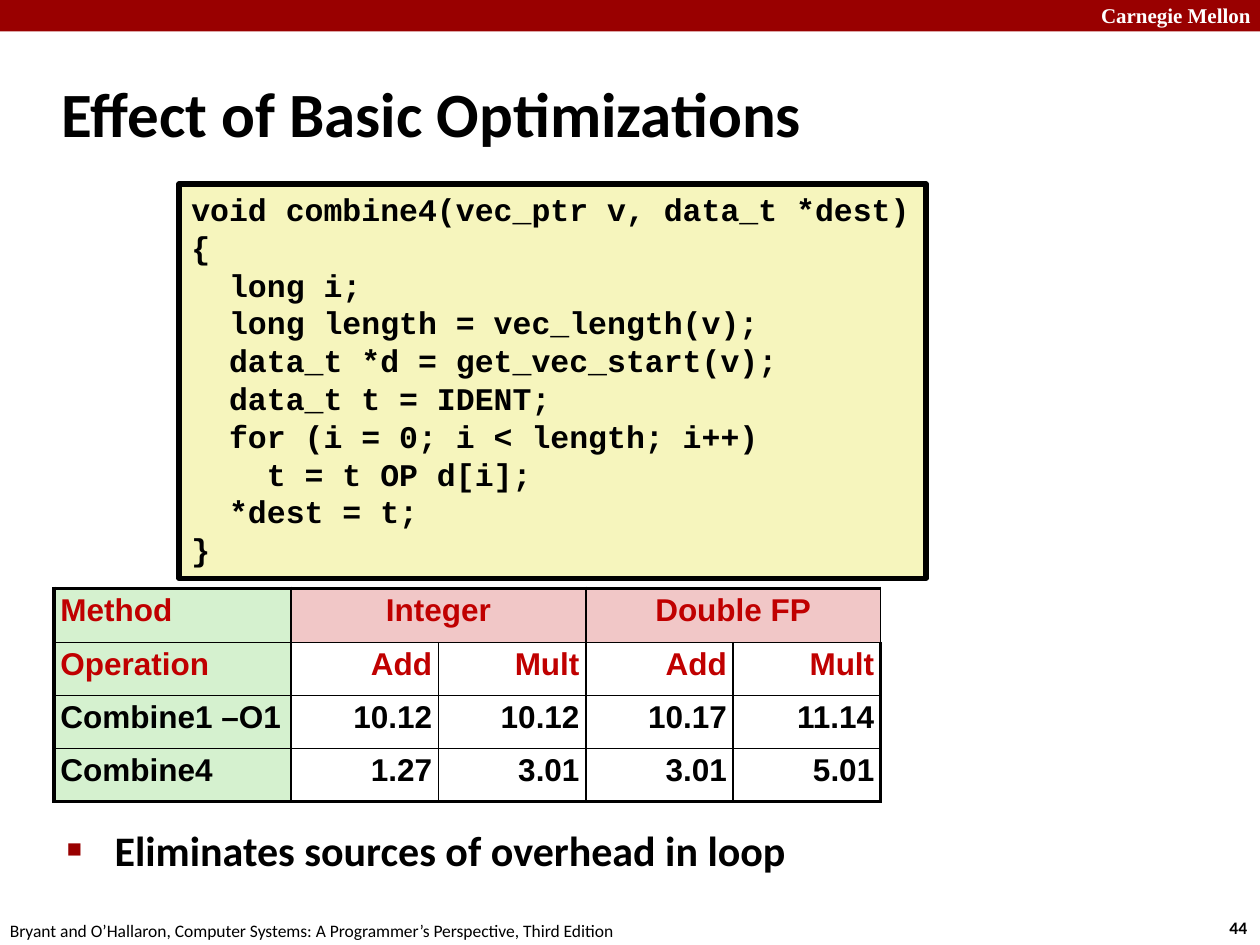
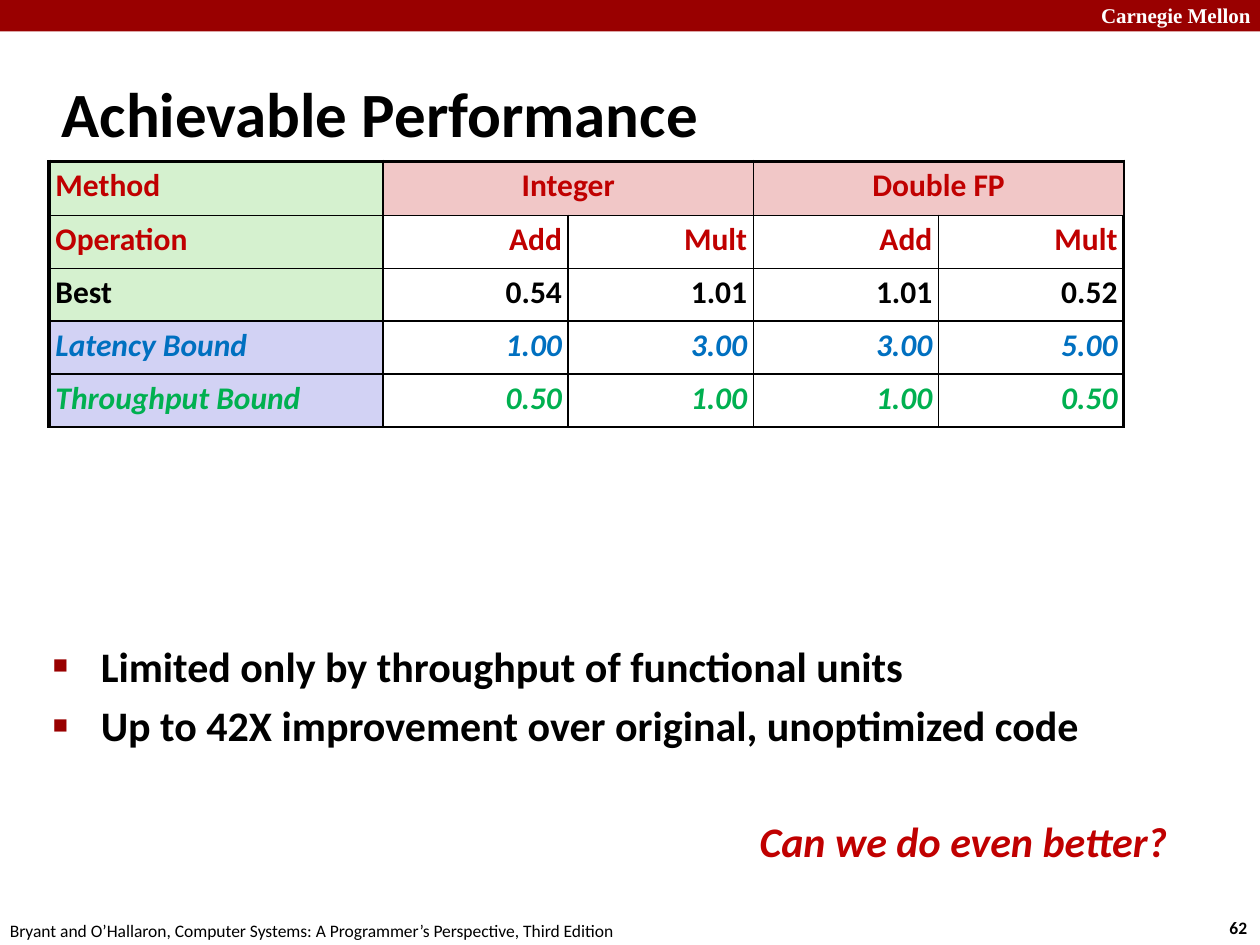
from lxml.etree import SubElement
from pptx import Presentation
from pptx.dml.color import RGBColor
from pptx.enum.shapes import MSO_SHAPE
from pptx.enum.text import MSO_ANCHOR, MSO_AUTO_SIZE, PP_ALIGN
from pptx.oxml.ns import qn
from pptx.util import Inches, Pt

COLORS = {
    "black": "000000", "white": "FFFFFF", "band": "990000", "red": "C00000",
    "blue": "0070C0", "green": "00B050", "code": "F6F5BD",
    "label": "D5F1CF", "group": "F1C7C7", "bound": "D2D2F4",
}
UNIVERSITY = "Carnegie Mellon"
CITATION = ("Bryant and O’Hallaron, Computer Systems: "
            "A Programmer’s Perspective, Third Edition")
CODE = """void combine4(vec_ptr v, data_t *dest)
{
  long i;
  long length = vec_length(v);
  data_t *d = get_vec_start(v);
  data_t t = IDENT;
  for (i = 0; i < length; i++)
    t = t OP d[i];
  *dest = t;
}"""
HEADINGS = [
    ["Method", "Integer", "", "Double FP", ""],
    ["Operation", "Add", "Mult", "Add", "Mult"],
]
THIN, THICK = 1, 2.25

# Row styles: (label fill, text colour, italic)
HEADING = ("label", "red", False)
MEASURED = ("label", "black", False)
LATENCY = ("bound", "blue", True)
THROUGHPUT = ("bound", "green", True)

SLIDES = [
    {
        "title": "Effect of Basic Optimizations",
        "number": "44",
        "bullets": ["Eliminates sources of overhead in loop"],
        "bullet_area": (0.43, 6.49, 8.64, 0.59),
        "table": {
            "left": 0.43, "top": 4.67, "label_width": 1.88, "value_width": 1.17,
            "font": "Arial", "bottom_line": THICK,
            "rows": [
                (MEASURED, ["Combine1 –O1", "10.12", "10.12", "10.17", "11.14"]),
                (MEASURED, ["Combine4", "1.27", "3.01", "3.01", "5.01"]),
            ],
        },
        "code": CODE,
    },
    {
        "title": "Achievable Performance",
        "number": "62",
        "bullets": ["Limited only by throughput of functional units",
                    "Up to 42X improvement over original, unoptimized code"],
        "bullet_area": (0.32, 5.03, 9.09, 2.05),
        "table": {
            "left": 0.39, "top": 1.28, "label_width": 2.65, "value_width": 1.47,
            "font": "Calibri", "bottom_line": THIN,
            "rows": [
                (MEASURED, ["Best", "0.54", "1.01", "1.01", "0.52"]),
                (LATENCY, ["Latency Bound", "1.00", "3.00", "3.00", "5.00"]),
                (THROUGHPUT, ["Throughput Bound", "0.50", "1.00", "1.00", "0.50"]),
            ],
        },
        "question": "Can we do even better?",
    },
]


def color(name):
    return RGBColor.from_string(COLORS[name])


def inches(*lengths):
    return [Inches(length) for length in lengths]


def set_font(paragraph, size, name="Calibri", ink="black", bold=True, italic=False):
    font = paragraph.font
    font.size, font.name = Pt(size), name
    font.bold, font.italic = bold, italic
    font.color.rgb = color(ink)


def add_text(slide, text, area, size, wrap=False, **font):
    frame = slide.shapes.add_textbox(*inches(*area)).text_frame
    frame.word_wrap = wrap
    frame.text = text
    set_font(frame.paragraphs[0], size, **font)


def add_box(slide, area, fill):
    box = slide.shapes.add_shape(MSO_SHAPE.RECTANGLE, *inches(*area))
    box.shadow.inherit = False
    box.fill.solid()
    box.fill.fore_color.rgb = color(fill)
    box.line.fill.background()
    return box


def add_frame(slide, number):
    """Draw the band, citation and slide number found on every slide."""
    add_box(slide, (0, 0, 10, 0.25), "band")
    add_text(slide, UNIVERSITY, (8.64, -0.03, 1.43, 0.3), 12, wrap=True,
             name="Times New Roman", ink="white")
    add_text(slide, number, (9.66, 7.23, 0.37, 0.27), 10)
    add_text(slide, CITATION, (-0.02, 7.25, 5.08, 0.27), 10, bold=False)


def place(shape, area):
    shape.left, shape.top, shape.width, shape.height = inches(*area)
    shape.text_frame.auto_size = MSO_AUTO_SIZE.NONE
    return shape.text_frame


def hang(paragraph, indent):
    properties = paragraph._p.get_or_add_pPr()
    properties.set("marL", str(Inches(indent)))
    properties.set("indent", str(-Inches(indent)))
    return properties


def fill_title(slide, text):
    frame = place(slide.shapes.title, (0.39, 0.48, 8.3, 0.83))
    frame.vertical_anchor = MSO_ANCHOR.MIDDLE
    frame.text = text
    paragraph = frame.paragraphs[0]
    paragraph.alignment = PP_ALIGN.LEFT
    hang(paragraph, 0.13)
    set_font(paragraph, 36)


def fill_bullets(slide, bullets, area):
    frame = place(slide.placeholders[1], area)
    frame.text = "\n".join(bullets)
    for index, paragraph in enumerate(frame.paragraphs):
        paragraph.space_before = Pt(5 if index else 0)
        properties = hang(paragraph, 0.38)
        bullet_color = SubElement(properties, qn("a:buClr"))
        SubElement(bullet_color, qn("a:srgbClr"), val=COLORS["band"])
        SubElement(properties, qn("a:buSzPct"), val="60000")
        SubElement(properties, qn("a:buChar"), char="■")
        set_font(paragraph, 24)


def add_code(slide, code):
    box = add_box(slide, (1.42, 1.46, 5.93, 3.13), "code")
    box.line.color.rgb = color("black")
    box.line.width = Pt(3)
    frame = box.text_frame
    frame.word_wrap = False
    frame.vertical_anchor = MSO_ANCHOR.TOP
    frame.text = code
    for paragraph in frame.paragraphs:
        paragraph.alignment = PP_ALIGN.LEFT
        set_font(paragraph, 18, name="Courier New")


def set_borders(cell, left, right, top, bottom):
    properties = cell._tc.get_or_add_tcPr()
    for side, width in zip("LRTB", (left, right, top, bottom)):
        line = SubElement(properties, qn(f"a:ln{side}"), w=str(Pt(width)))
        fill = SubElement(line, qn("a:solidFill"))
        SubElement(fill, qn("a:srgbClr"), val=COLORS["black"])


def add_results(slide, left, top, label_width, value_width, font, bottom_line, rows):
    rows = [(HEADING, texts) for texts in HEADINGS] + rows
    widths = [label_width] + [value_width] * 4
    heights = [0.43] + [0.42] * (len(rows) - 1)
    table = slide.shapes.add_table(
        len(rows), len(widths),
        *inches(left, top, sum(widths), sum(heights))).table
    table.first_row = table.horz_banding = False
    for column, width in zip(table.columns, widths):
        column.width = Inches(width)
    for row, height in zip(table.rows, heights):
        row.height = Inches(height)
    for start in (1, 3):
        table.cell(0, start).merge(table.cell(0, start + 1))

    last_row, last_column = len(rows) - 1, len(widths) - 1
    for r, ((label_fill, ink, italic), texts) in enumerate(rows):
        for c, text in enumerate(texts):
            cell = table.cell(r, c)
            set_borders(cell,
                        left=THIN if c else THICK,
                        right=THICK if c == last_column else THIN,
                        top=THIN if r else THICK,
                        bottom=bottom_line if r == last_row else THIN)
            if c == 0:
                fill, alignment = label_fill, PP_ALIGN.LEFT
            elif r == 0:
                fill, alignment = "group", PP_ALIGN.CENTER
            else:
                fill, alignment = None, PP_ALIGN.RIGHT
            if fill:
                cell.fill.solid()
                cell.fill.fore_color.rgb = color(fill)
            else:
                cell.fill.background()
            cell.margin_left = cell.margin_right = Inches(0.05)
            cell.margin_top = cell.margin_bottom = Inches(0.05)
            cell.text = text
            paragraph = cell.text_frame.paragraphs[0]
            paragraph.alignment = alignment
            paragraph.line_spacing = 0.95
            set_font(paragraph, 18, name=font, ink=ink, italic=italic)


def main():
    presentation = Presentation()
    presentation.slide_width, presentation.slide_height = inches(10, 7.5)
    for content in SLIDES:
        slide = presentation.slides.add_slide(presentation.slide_layouts[1])
        add_frame(slide, content["number"])
        fill_title(slide, content["title"])
        fill_bullets(slide, content["bullets"], content["bullet_area"])
        if "code" in content:
            add_code(slide, content["code"])
        add_results(slide, **content["table"])
        if "question" in content:
            add_text(slide, content["question"], (5.93, 6.42, 3.47, 0.5), 24,
                     ink="red", italic=True)
    presentation.save("out.pptx")


if __name__ == "__main__":
    main()
